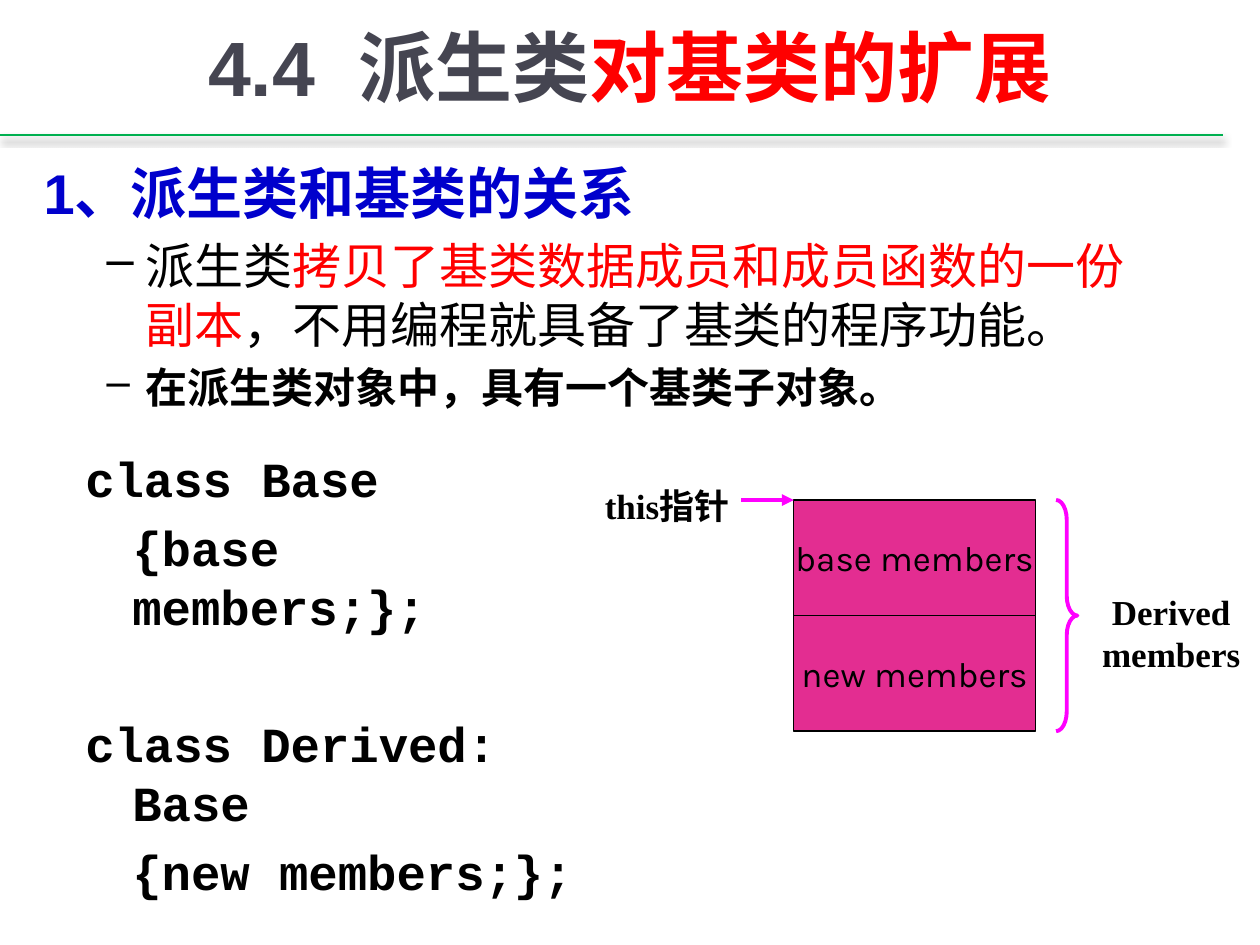
from lxml import etree
from pptx import Presentation
from pptx import util as u
from pptx.dml.color import RGBColor
from pptx.enum import shapes, text
from pptx.oxml import ns

COLOURS = {
    "title": "454551", "accent": "FF0000", "heading": "0000CC", "ink": "000000",
    "rule": "00B050", "block": "E32D91", "pointer": "FF00FF",
}
MIDDLE = text.MSO_ANCHOR.MIDDLE
CENTER = text.PP_ALIGN.CENTER


def colour(name):
    return RGBColor.from_string(COLOURS[name])


def add_child(parent, tag, **attributes):
    child = etree.SubElement(parent, ns.qn(tag))
    for key, value in attributes.items():
        child.set(key, str(value))
    return child


def add_paragraph(frame, spans, margin=0, indent=0, before=0, align=None, bullet=None):
    """Add a paragraph of (wording, colour, font format) spans; margins are in cm."""
    first = frame.paragraphs[0]
    para = frame.add_paragraph() if first.runs else first
    props = para._p.get_or_add_pPr()
    props.set("marL", str(u.Cm(margin)))
    props.set("indent", str(u.Cm(indent)))
    if bullet:
        add_child(props, "a:buChar", char=bullet)
    para.space_before = u.Pt(before)
    para.alignment = align
    for wording, ink, style in spans:
        span = para.add_run()
        span.text = wording
        for key, value in style.items():
            setattr(span.font, key, value)
        span.font.color.rgb = colour(ink)


def add_text_box(page, left, top, width, height, anchor=text.MSO_ANCHOR.TOP):
    box = page.shapes.add_textbox(*map(u.Cm, (left, top, width, height)))
    box.text_frame.word_wrap = True
    box.text_frame.vertical_anchor = anchor
    return box.text_frame


def add_line(page, start, end, ink, weight):
    """Draw a straight line and return it with its empty effect list."""
    line = page.shapes.add_connector(
        shapes.MSO_CONNECTOR.STRAIGHT, *map(u.Cm, (*start, *end)))
    line.line.color.rgb = colour(ink)
    line.line.width = u.Pt(weight)
    return line, add_child(line._element.spPr, "a:effectLst")


def add_title(page, left, top, width, height):
    style = {"name": "Arial", "size": u.Pt(44), "bold": True}
    frame = add_text_box(page, left, top, width, height, MIDDLE)
    add_paragraph(frame, [("4.4  派生类", "title", style),
                          ("对基类的扩展", "accent", style)], align=CENTER)


def add_title_rule(page, left, top, width):
    _, effects = add_line(page, (left, top), (left + width, top), "rule", 1.25)
    shadow = add_child(effects, "a:outerShdw", blurRad=u.Pt(4), dist=u.Pt(2.5),
                       dir=90 * 60000, rotWithShape=0)
    ink = add_child(shadow, "a:srgbClr", val=COLOURS["ink"])
    add_child(ink, "a:alpha", val=47000)


def add_body(page, left, top, width, height):
    heading = {"name": "Arial", "size": u.Pt(32), "bold": True}
    point = {"name": "Arial", "size": u.Pt(28), "bold": False}
    strong = {"name": "Arial", "size": u.Pt(24), "bold": True}
    item = {"margin": 2.06, "indent": -0.79, "bullet": "–"}
    frame = add_text_box(page, left, top, width, height)
    add_paragraph(frame, [("1、派生类和基类的关系", "heading", heading)],
                  margin=0.95, indent=-0.95)
    add_paragraph(frame, [
        ("派生类", "ink", point),
        ("拷贝了基类数据成员和成员函数的一份副本", "accent", point),
        ("，不用编程就具备了基类的程序功能。", "ink", point),
    ], before=5.6, **item)
    add_paragraph(frame, [("在派生类对象中，具有一个基类子对象。", "ink", strong)],
                  before=4.8, **item)


def add_code(page, left, top, width, height):
    style = {"name": "Courier New", "size": u.Pt(28), "bold": True}
    hanging = 0.95
    lines = [  # wording, first-line indent, space before
        ("class Base", -hanging, 0),
        ("{base members;};", 0, 5.6),
        ("class Derived: Base", -hanging, 45),
        ("{new members;};", 0, 5.6),
    ]
    frame = add_text_box(page, left, top, width, height)
    for wording, indent, before in lines:
        add_paragraph(frame, [(wording, "ink", style)], hanging, indent, before)


def add_block(page, wording, left, top, width, height):
    block = page.shapes.add_shape(
        shapes.MSO_SHAPE.RECTANGLE, *map(u.Cm, (left, top, width, height)))
    block.shadow.inherit = False
    block.fill.solid()
    block.fill.fore_color.rgb = colour("block")
    block.line.color.rgb = colour("ink")
    block.line.width = u.Pt(0.75)
    frame = block.text_frame
    frame.word_wrap = False
    frame.vertical_anchor = MIDDLE
    style = {"name": "Karla", "size": u.Pt(20)}
    add_paragraph(frame, [(wording, "ink", style)], align=CENTER)


def add_label(page, wording, left, top, width, height):
    style = {"name": "Times New Roman", "size": u.Pt(20), "bold": True}
    frame = add_text_box(page, left, top, width, height)
    add_paragraph(frame, [(wording, "ink", style)], align=CENTER)


def add_memory_diagram(page, left, top, width, height):
    label_width = 3.38
    stack_left, stack_width = left + 4.24, 4.88
    members = ["base members", "new members"]
    block_height = height / len(members)
    for row, wording in enumerate(members):
        add_block(page, wording, stack_left, top + row * block_height,
                  stack_width, block_height)

    add_label(page, "this指针", left, top - 0.43, label_width, 1.1)
    add_label(page, "Derived members", left + width - label_width, top + 1.7,
              label_width, 1.96)

    arrow, _ = add_line(page, (stack_left - 1.06, top), (stack_left, top), "pointer", 2.25)
    add_child(arrow.line._get_or_add_ln(), "a:tailEnd", type="triangle")

    brace = page.shapes.add_shape(
        shapes.MSO_SHAPE.RIGHT_BRACE,
        *map(u.Cm, (stack_left + stack_width + 0.41, top, 0.43, height)))
    brace.adjustments[0] = 0.92
    brace.shadow.inherit = False
    brace.fill.background()
    brace.line.color.rgb = colour("pointer")
    brace.line.width = u.Pt(2.25)


def main():
    deck = Presentation()
    deck.slide_width, deck.slide_height = u.Cm(25.4), u.Cm(19.05)
    page = deck.slides.add_slide(deck.slide_layouts[6])
    add_title_rule(page, 0, 2.72, 24.66)
    add_body(page, 0.63, 3.07, 22.86, 9.6)
    add_code(page, 1.47, 8.92, 10.59, 6.55)
    add_memory_diagram(page, 11.76, 10.08, 13.54, 4.66)
    add_title(page, 1.9, 0.53, 21.6, 1.6)
    deck.save("out.pptx")


if __name__ == "__main__":
    main()
